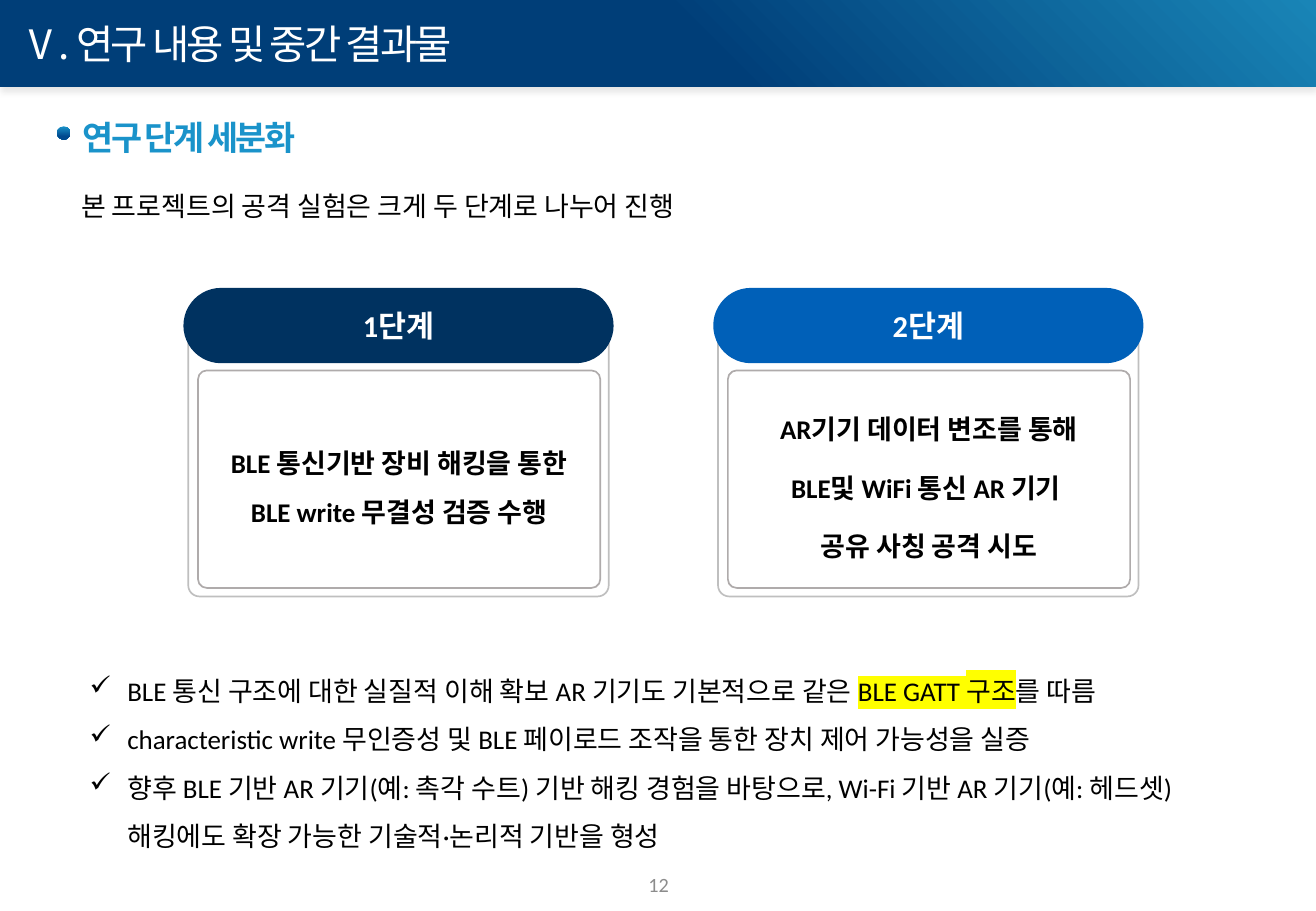
import pptx
import pptx.util
import pptx.dml.color
import pptx.enum.shapes
import pptx.enum.text
import pptx.oxml
from pptx.oxml.ns import nsdecls, qn

Inches = pptx.util.Inches
Pt = pptx.util.Pt
KIND = pptx.enum.shapes.MSO_SHAPE
ALIGN = pptx.enum.text.PP_ALIGN
MID = pptx.enum.text.MSO_ANCHOR.MIDDLE
LATIN, HANGUL = "Calibri", "Noto Sans CJK KR"
COLORS = {
    "black": "000000", "white": "FFFFFF", "gray": "8C8C8C",
    "sky": "1A93CA", "blue": "00498E", "teal": "1985B7", "navy": "003E78",
    "first": "003260", "second": "0060B8",
    "outer": "BFBFBF", "inner": "AFABAB", "mark": "FFFF00",
}
CARDS = [
    ("1단계", "first", ["BLE 통신기반 장비 해킹을 통한", "BLE write 무결성 검증 수행"], 0),
    ("2단계", "second", ["AR기기 데이터 변조를 통해", "BLE및 WiFi 통신 AR 기기 ",
                       "공유 사칭 공격 시도"], 6),
]
NOTES = [
    [("BLE 통신 구조에 대한 실질적 이해 확보 AR 기기도 기본적으로 같은 ", False),
     ("BLE GATT 구조", True), ("를 따름", False)],
    [("characteristic write 무인증성 및 BLE 페이로드 조작을 통한 장치 제어 가능성을 실증", False)],
    [("향후 BLE 기반 AR 기기(예: 촉각 수트) 기반 해킹 경험을 바탕으로, Wi-Fi 기반 AR 기기(예: 헤드셋) "
      "해킹에도 확장 가능한 기술적·논리적 기반을 형성", False)],
]


def rgb(name):
    """Return the named colour."""
    return pptx.dml.color.RGBColor.from_string(COLORS[name])


def xml(tag, body="", attrs=""):
    """Build one drawing element."""
    return pptx.oxml.parse_xml(f"<a:{tag} {nsdecls('a')} {attrs}>{body}</a:{tag}>")


def blend(fill, start, end, stop, angle):
    """Apply a two-colour gradient with a clockwise angle."""
    fill.gradient()
    fill.gradient_angle = 360 - angle
    for item, name, place in zip(fill.gradient_stops, (start, end), (0, stop)):
        item.color.rgb = rgb(name)
        item.position = place


def style(para, size, color="black", bold=False, face=LATIN, align=ALIGN.LEFT, lines=1):
    """Set the look of a paragraph."""
    para.alignment = align
    para.line_spacing = lines
    font = para.font
    font.size, font.bold, font.name = Pt(size), bold, face
    font.color.rgb = rgb(color)
    font._element.append(xml("ea", attrs=f'typeface="{HANGUL}"'))


def write(frame, texts, gap=0, **look):
    """Fill a text frame with one paragraph for each text."""
    frame.word_wrap = True
    for i, text in enumerate(texts):
        para = frame.paragraphs[0] if i == 0 else frame.add_paragraph()
        para.add_run().text = text
        if i and gap:
            para.space_before = Pt(gap)
        style(para, **look)


def label(shapes, box, text, **look):
    """Add a text box with one line."""
    frame = shapes.add_textbox(*map(Inches, box)).text_frame
    write(frame, [text], **look)
    return frame


def shape(shapes, kind, box, fill=None, line=None, round_=None):
    """Add a flat shape."""
    item = shapes.add_shape(kind, *map(Inches, box))
    item.shadow.inherit = False
    if fill:
        item.fill.solid()
        item.fill.fore_color.rgb = rgb(fill)
    if line:
        item.line.color.rgb = rgb(line)
        item.line.width = Pt(1)
    else:
        item.line.fill.background()
    if round_ is not None:
        item.adjustments[0] = round_
    return item


def header(shapes, x, y, w, h):
    """Draw the title band."""
    band = shape(shapes, KIND.RECTANGLE, (x, y, w, h))
    blend(band.fill, "teal", "navy", 0.47, 135)
    glow = xml("outerShdw", '<a:srgbClr val="000000"><a:alpha val="10000"/></a:srgbClr>',
               f'blurRad="{Pt(4)}" dist="{Pt(3)}" dir="5400000" algn="t" rotWithShape="0"')
    band._element.spPr.find(qn("a:effectLst")).append(glow)
    frame = label(shapes, (x + 0.07, y + 0.11, w / 2, 0.5), "Ⅴ. 연구 내용 및 중간 결과물",
                  size=24, color="white", face=HANGUL)
    frame.paragraphs[0].runs[0].font._element.set("spc", "-150")


def heading(shapes, x, y, w, h):
    """Draw the section heading with its dot."""
    frame = label(shapes, (x + 0.11, y, w, h), "연구 단계 세분화",
                  size=20, color="sky", bold=True, face=HANGUL)
    frame.word_wrap = False
    font = frame.paragraphs[0].runs[0].font
    font._element.set("spc", "-150")
    blend(font.fill, "sky", "blue", 0.76, 90)
    dot = shape(shapes, KIND.OVAL, (x, y + 0.13, 0.11, 0.11))
    blend(dot.fill, "sky", "blue", 0.76, 90)


def card(shapes, x, y, w, h, title, color, texts, gap):
    """Draw one stage card with its pill title."""
    parts = shapes.add_group_shape().shapes
    shape(parts, KIND.ROUNDED_RECTANGLE, (x + 0.04, y + 0.15, w - 0.08, h - 0.15),
          "white", "outer", 0.038)
    body = shape(parts, KIND.ROUNDED_RECTANGLE, (x + 0.12, y + 0.68, w - 0.23, h - 0.75),
                 "white", "inner", 0.04)
    pill = shape(parts, KIND.ROUNDED_RECTANGLE, (x, y, w, 0.62), color, round_=0.5)
    for item in (body, pill):
        item.text_frame.vertical_anchor = MID
    write(body.text_frame, texts, gap, size=16, bold=True, align=ALIGN.CENTER, lines=1.5)
    write(pill.text_frame, [title], size=18, color="white", bold=True, align=ALIGN.CENTER)


def notes(shapes, x, y, w, h):
    """Write the checked list."""
    frame = shapes.add_textbox(*map(Inches, (x, y, w, h))).text_frame
    frame.word_wrap = True
    for i, parts in enumerate(NOTES):
        para = frame.paragraphs[0] if i == 0 else frame.add_paragraph()
        props = para._p.get_or_add_pPr()
        props.set("marL", str(Inches(0.31)))
        props.set("indent", str(Inches(-0.31)))
        props.append(xml("buChar", attrs='char="✓"'))
        for text, marked in parts:
            run = para.add_run()
            run.text = text
            if marked:
                tint = f'<a:srgbClr val="{COLORS["mark"]}"/>'
                run.font._element.append(xml("highlight", tint))
        style(para, 16, lines=1.5)


def main():
    """Build the slide and save it."""
    deck = pptx.Presentation()
    deck.slide_width, deck.slide_height = Inches(10.83), Inches(7.5)
    shapes = deck.slides.add_slide(deck.slide_layouts[6]).shapes
    header(shapes, 0, 0, 10.83, 0.71)
    heading(shapes, 0.47, 0.91, 1.99, 0.44)
    label(shapes, (0.57, 1.38, 9.7, 0.45), "본 프로젝트의 공격 실험은 크게 두 단계로 나누어 진행",
          size=16, face=HANGUL, lines=1.5)
    for i, stage in enumerate(CARDS):
        card(shapes, 1.51 + 4.36 * i, 2.37, 3.54, 2.54, *stage)
    notes(shapes, 0.64, 5.37, 9.7, 1.67)
    page = label(shapes, (4.2, 7.08, 2.44, 0.4), "12", size=12, color="gray", align=ALIGN.CENTER)
    page.vertical_anchor = MID
    deck.save("out.pptx")


if __name__ == "__main__":
    main()
